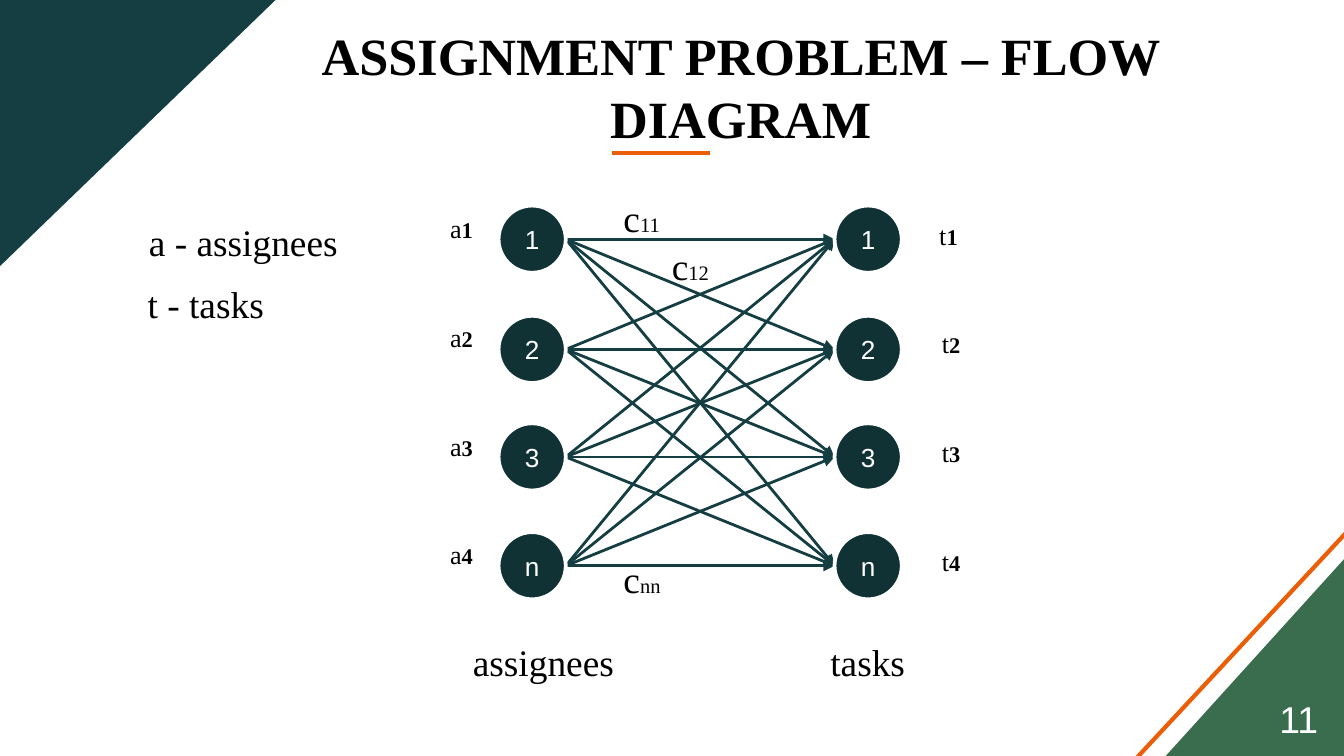
"""Builds the assignment problem flow diagram slide."""
import pptx
import pptx.util
import pptx.dml.color
import pptx.enum.shapes
import pptx.enum.text
import pptx.oxml.ns
from lxml import etree

Inches = pptx.util.Inches
Pt = pptx.util.Pt
SHAPE = pptx.enum.shapes.MSO_SHAPE
ALIGN = pptx.enum.text.PP_ALIGN
ANCHOR = pptx.enum.text.MSO_ANCHOR
qn = pptx.oxml.ns.qn


def rgb(value):
    """Turn a hex string into a colour."""
    return pptx.dml.color.RGBColor.from_string(value)


class SlideBuilder:
    """Holds the style and the current slide."""

    SERIF, SANS = "Times New Roman", "Arial"
    BLACK, WHITE = "000000", "FFFFFF"
    TEAL, DARK, GREEN, ORANGE = "143E42", "103235", "396D4D", "EB5D06"

    def __init__(self, s):
        """Keep the slide and paint its background."""
        self.s = s
        s.background.fill.solid()
        s.background.fill.fore_color.rgb = rgb(self.WHITE)

    def run(self, p, text, size, bold=False, font=SERIF, color=BLACK):
        """Add one formatted run."""
        r = p.add_run()
        r.text = text
        r.font.name = font
        r.font.size = Pt(size)
        r.font.bold = bold
        r.font.color.rgb = rgb(color)

    def paint(self, sp, color):
        """Give a shape a plain fill without line or shadow."""
        sp.shadow.inherit = False
        sp.fill.solid()
        sp.fill.fore_color.rgb = rgb(color)
        sp.line.fill.background()

    def title(self, text, x, y, w, h):
        """Fill and place the title placeholder."""
        sp = self.s.shapes.title
        sp.left, sp.top, sp.width, sp.height = map(Inches, (x, y, w, h))
        tf = sp.text_frame
        tf.word_wrap = True
        tf.auto_size = pptx.enum.text.MSO_AUTO_SIZE.NONE
        tf.vertical_anchor = ANCHOR.BOTTOM
        tf.margin_left = tf.margin_right = Inches(0.1)
        tf.margin_top = tf.margin_bottom = Inches(0.1)
        p = tf.paragraphs[0]
        p.alignment = ALIGN.CENTER
        p.line_spacing = 1.0
        self.run(p, text, 28, bold=True)

    def text(self, x, y, w, h, *runs, **style):
        """Add a text box from (text, size, bold) runs."""
        sp = self.s.shapes.add_textbox(*map(Inches, (x, y, w, h)))
        tf = sp.text_frame
        tf.word_wrap = True
        for run in runs:
            self.run(tf.paragraphs[0], *run, **style)

    def line(self, x1, y1, x2, y2, color, width, arrow=False):
        """Add a straight line, with an arrowhead on request."""
        ends = map(Inches, (x1, y1, x2, y2))
        sp = self.s.shapes.add_connector(pptx.enum.shapes.MSO_CONNECTOR.STRAIGHT, *ends)
        sp.line.color.rgb = rgb(color)
        sp.line.width = Pt(width)
        if arrow:
            etree.SubElement(sp.line._get_or_add_ln(), qn("a:tailEnd"), type="triangle")
        etree.SubElement(sp._element.spPr, qn("a:effectLst"))

    def node(self, x, y, label, size=0.5):
        """Add a numbered circle centred on y."""
        box = map(Inches, (x, y - size / 2, size, size))
        sp = self.s.shapes.add_shape(SHAPE.OVAL, *box)
        self.paint(sp, self.DARK)
        sp.line.color.rgb = rgb(self.WHITE)
        sp.line.width = Pt(2)
        tf = sp.text_frame
        tf.vertical_anchor = ANCHOR.MIDDLE
        p = tf.paragraphs[0]
        p.alignment = ALIGN.CENTER
        self.run(p, label, 14, font=self.SANS, color=self.WHITE)

    def corners(self):
        """Draw the corner decorations."""
        fb = self.s.shapes.build_freeform(0, 0)
        fb.add_line_segments([(0, Inches(1.98)), (Inches(2.05), 0)], close=True)
        self.paint(fb.convert_to_shape(), self.TEAL)
        self.line(8.42, 5.68, 10.02, 3.96, self.ORANGE, 2.25)
        box = map(Inches, (8.59, 4.22, 1.49, 1.35))
        sp = self.s.shapes.add_shape(SHAPE.RIGHT_TRIANGLE, *box)
        sp.rotation = 270
        self.paint(sp, self.GREEN)


def main():
    """Build and save the slide."""
    prs = pptx.Presentation()
    prs.slide_width = Inches(10)
    prs.slide_height = prs.slide_width * 9 // 16
    b = SlideBuilder(prs.slides.add_slide(prs.slide_layouts[5]))
    b.corners()
    b.title("ASSIGNMENT PROBLEM – FLOW DIAGRAM", 1.6, 0.49, 7.82, 0.72)
    b.line(4.55, 1.14, 5.28, 1.14, b.ORANGE, 2.25)

    rows = [1.78, 2.6, 3.4, 4.21]
    for start in rows:
        for end in rows:
            b.line(4.21, start, 6.21, end, b.TEAL, 1.5, arrow=True)
    for i, (y, label) in enumerate(zip(rows, "123n")):
        number = (str(i + 1), 12, True)
        b.node(3.71, y, label)
        b.node(6.21, y, label)
        b.text(3.25, 1.53 + 0.81 * i, 0.42, 0.4, ("a", 14), number)
        b.text(6.91 if i else 6.89, 1.58 + 0.81 * i, 0.5, 0.4, ("t", 14), number)

    for x, y, index in [(4.54, 4.09, "nn"), (4.9, 1.76, "12"), (4.54, 1.4, "11")]:
        b.text(x, y, 0.72, 0.44, ("c", 20), (index, 11))
    for x, y, w, label in [(3.42, 4.71, 1.5, "assignees"), (6.08, 4.71, 1.5, "tasks"),
                           (1, 2.04, 1.75, "t - tasks"), (1.01, 1.58, 1.83, "a - assignees")]:
        b.text(x, y, w, 0.44, (label, 20))
    b.text(9.42, 5.13, 0.51, 0.44, ("11", 20), font=b.SANS, color=b.WHITE)
    prs.save("out.pptx")


if __name__ == "__main__":
    main()
